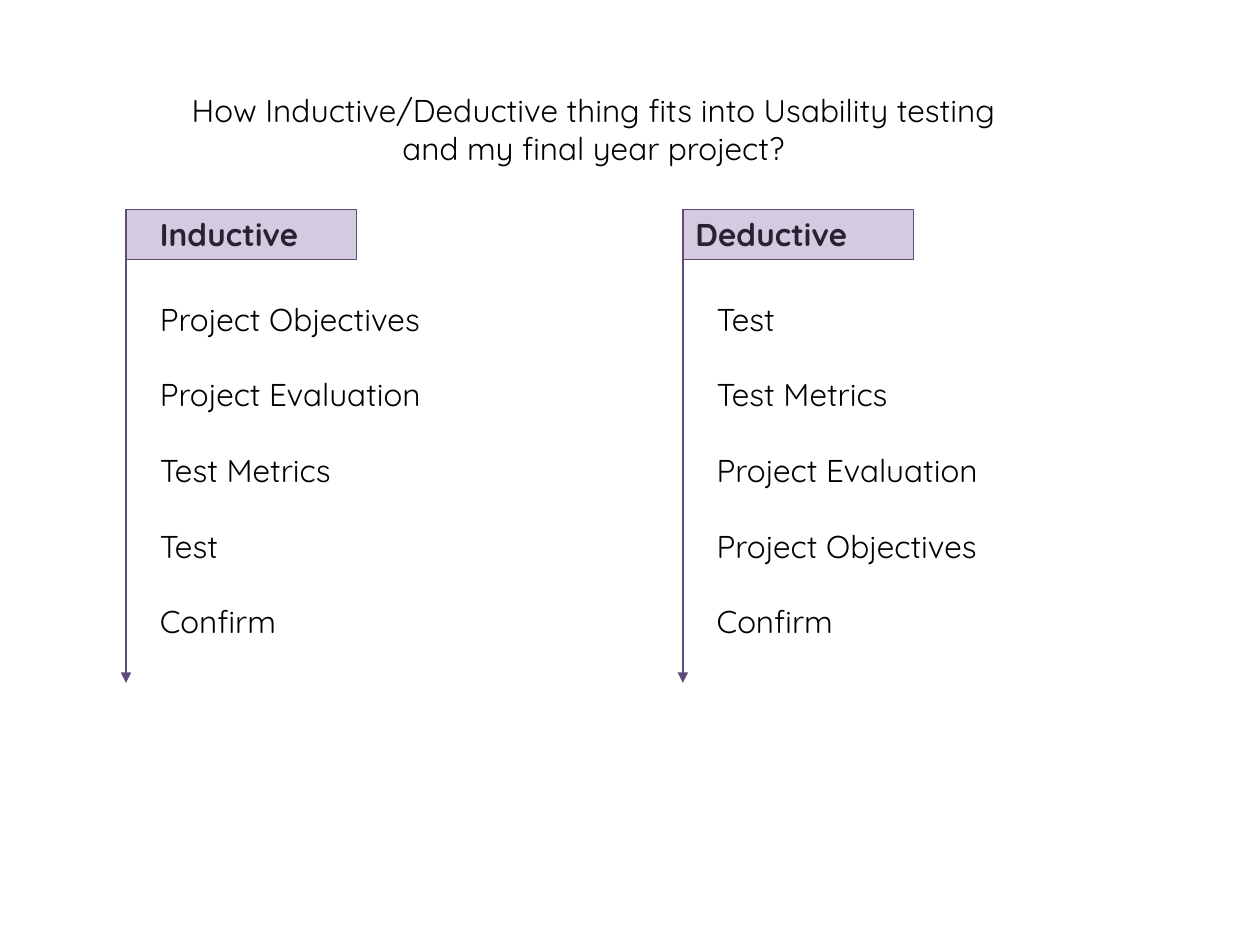
from dataclasses import dataclass

from lxml import etree
from pptx import Presentation
from pptx import util as u
from pptx.dml.color import RGBColor
from pptx.enum import shapes, text
from pptx.oxml import ns


@dataclass(frozen=True)
class Theme:
    font: str = "Quicksand"
    size: float = 18
    ink: str = "000000"
    heading_ink: str = "2A2135"
    fill: str = "8064A2"
    fill_alpha: int = 33000
    border: str = "5F4A78"
    border_width: float = 0.25
    arrow: str = "604A7B"
    arrow_width: float = 0.75
    item_gap: float = 21.6


@dataclass(frozen=True)
class Method:
    name: str
    name_inset: float
    left: float
    steps: tuple[str, ...]


THEME = Theme()
WIDTH, HEIGHT = 10, 7.5
HEADING_TOP, HEADING_WIDTH, HEADING_HEIGHT = 1.66, 1.83, 0.4
ARROW_BOTTOM = 5.42
STEPS_INDENT, STEPS_TOP, STEPS_WIDTH, STEPS_HEIGHT = 0.17, 2.33, 3.1, 3.43
TITLE = "How Inductive/Deductive thing fits into Usability testing and my final year project?"
METHODS = (
    Method("Inductive", 0.27, 1,
           ("Project Objectives", "Project Evaluation", "Test Metrics", "Test", "Confirm")),
    Method("Deductive", 0.1, 5.42,
           ("Test", "Test Metrics", "Project Evaluation", "Project Objectives", "Confirm")),
)


def write(frame, *lines: str, color: str = THEME.ink, bold: bool = False,
          align=text.PP_ALIGN.LEFT, anchor=text.MSO_ANCHOR.TOP,
          gap: float = 0, inset: float = 0.1) -> None:
    frame.word_wrap = True
    frame.auto_size = text.MSO_AUTO_SIZE.NONE
    frame.vertical_anchor = anchor
    frame.margin_left = u.Inches(inset)
    for index, line in enumerate(lines):
        para = frame.add_paragraph() if index else frame.paragraphs[0]
        para.alignment = align
        para.space_before = u.Pt(gap if index else 0)
        span = para.add_run()
        span.text = line
        span.font.name = THEME.font
        span.font.size = u.Pt(THEME.size)
        span.font.bold = bold
        span.font.color.rgb = RGBColor.from_string(color)


def add_title(page) -> None:
    title = page.shapes.title
    title.left, title.top = u.Inches(1.25), u.Inches(0.67)
    title.width, title.height = u.Inches(6.92), u.Inches(0.71)
    write(title.text_frame, TITLE, align=text.PP_ALIGN.CENTER)


def add_steps(page, method: Method) -> None:
    box = page.shapes.add_textbox(
        u.Inches(method.left + STEPS_INDENT), u.Inches(STEPS_TOP),
        u.Inches(STEPS_WIDTH), u.Inches(STEPS_HEIGHT))
    write(box.text_frame, *method.steps, gap=THEME.item_gap)


def add_arrow(page, method: Method) -> None:
    arrow = page.shapes.add_connector(
        shapes.MSO_CONNECTOR.STRAIGHT, u.Inches(method.left), u.Inches(HEADING_TOP),
        u.Inches(method.left), u.Inches(ARROW_BOTTOM))
    arrow.line.color.rgb = RGBColor.from_string(THEME.arrow)
    arrow.line.width = u.Pt(THEME.arrow_width)
    properties = arrow.element.spPr
    etree.SubElement(properties.find(ns.qn("a:ln")), ns.qn("a:tailEnd"), type="triangle")
    etree.SubElement(properties, ns.qn("a:effectLst"))


def add_heading(page, method: Method) -> None:
    box = page.shapes.add_shape(
        shapes.MSO_SHAPE.RECTANGLE, u.Inches(method.left), u.Inches(HEADING_TOP),
        u.Inches(HEADING_WIDTH), u.Inches(HEADING_HEIGHT))
    box.shadow.inherit = False
    box.fill.solid()
    box.fill.fore_color.rgb = RGBColor.from_string(THEME.fill)
    color = box.element.spPr.find(ns.qn("a:solidFill"))[0]
    etree.SubElement(color, ns.qn("a:alpha"), val=str(THEME.fill_alpha))
    box.line.color.rgb = RGBColor.from_string(THEME.border)
    box.line.width = u.Pt(THEME.border_width)
    write(box.text_frame, method.name, color=THEME.heading_ink, bold=True,
          anchor=text.MSO_ANCHOR.MIDDLE, inset=method.name_inset)


def main() -> None:
    deck = Presentation()
    deck.slide_width, deck.slide_height = u.Inches(WIDTH), u.Inches(HEIGHT)
    page = deck.slides.add_slide(deck.slide_layouts.get_by_name("Title Only"))
    add_title(page)
    for method in METHODS:
        add_steps(page, method)
        add_arrow(page, method)
        add_heading(page, method)
    deck.save("out.pptx")


if __name__ == "__main__":
    main()
